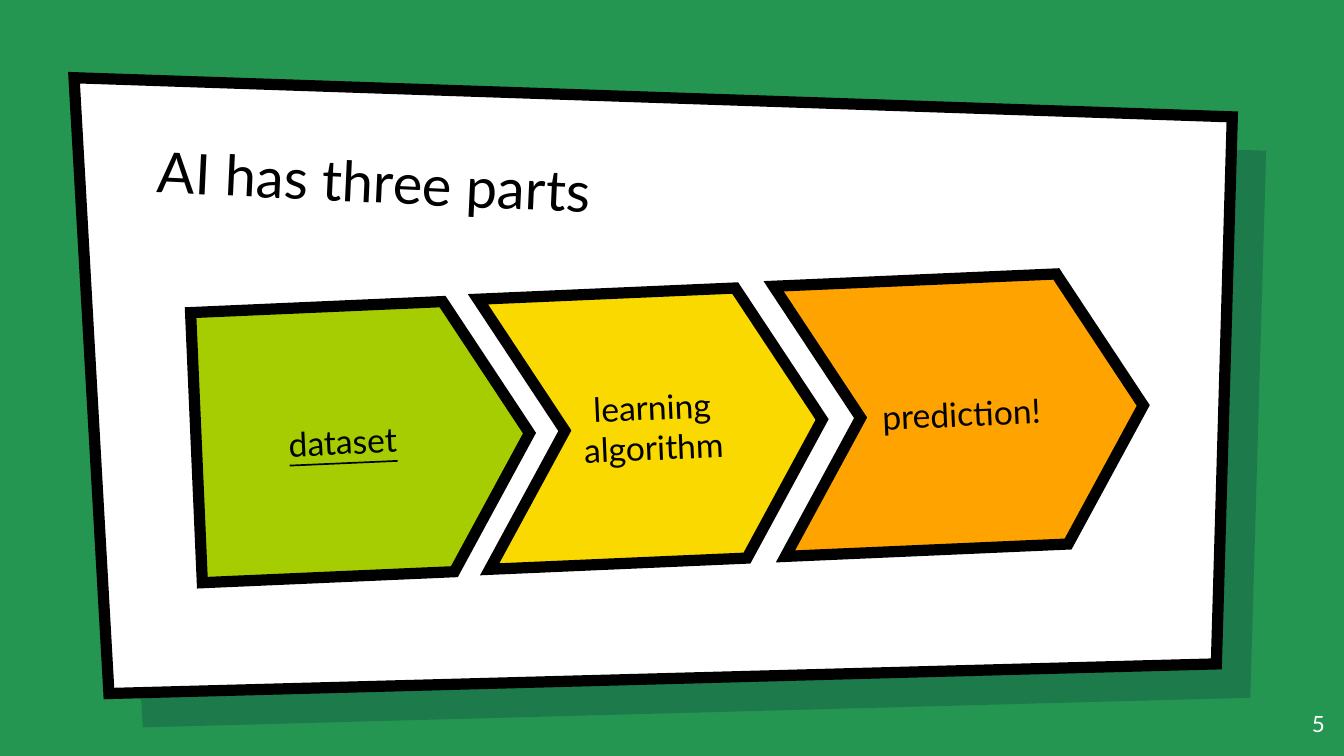
from dataclasses import dataclass

from lxml import etree
from pptx import Presentation
from pptx import util as u
from pptx.dml.color import RGBColor
from pptx.enum import shapes, text
from pptx.oxml import ns
from pptx.shapes.autoshape import Shape
from pptx.slide import Slide
from pptx.text.text import TextFrame


@dataclass(frozen=True)
class Theme:
    font: str = "Lato"
    background: str = "249651"
    shade: str = "001936"
    shade_alpha: int = 22000
    paper: str = "FFFFFF"
    ink: str = "000000"
    green: str = "A6CD02"
    yellow: str = "FAD900"
    orange: str = "FFA300"
    title_size: int = 30
    step_size: int = 18
    number_size: int = 12
    outline: int = 6


@dataclass(frozen=True)
class Step:
    label: str
    left: float
    width: float
    fill: str
    preset: shapes.MSO_SHAPE = shapes.MSO_SHAPE.CHEVRON
    underline: bool = False


THEME = Theme()
PANEL = [(1.4, 1.47), (23.29, 2.21), (22.99, 12.55), (2.06, 13.11)]
SHADE_OFFSET = 0.64
FIRST_TOP, RISE, STEP_HEIGHT = 5.77, 0.255, 5.11
TILT, POINT_DEPTH = 357.5, 0.3
STEPS = [
    Step("dataset", 3.71, 6.3, THEME.green, shapes.MSO_SHAPE.PENTAGON, True),
    Step("learning algorithm", 9.14, 6.4, THEME.yellow),
    Step("prediction!", 14.73, 6.88, THEME.orange),
]


def rgb(value: str) -> RGBColor:
    return RGBColor.from_string(value)


def paint(shape: Shape, fill: str) -> None:
    shape.shadow.inherit = False
    shape.fill.solid()
    shape.fill.fore_color.rgb = rgb(fill)


def outline(shape: Shape) -> None:
    shape.line.color.rgb = rgb(THEME.ink)
    shape.line.width = u.Pt(THEME.outline)
    edge = shape.element.spPr.find(ns.qn("a:ln"))
    etree.SubElement(edge, ns.qn("a:miter"), lim="800000")


def write(frame: TextFrame, words: str, size: int, color: str,
          align: text.PP_ALIGN, anchor: text.MSO_ANCHOR) -> None:
    frame.text = words
    frame.word_wrap = True
    frame.auto_size = text.MSO_AUTO_SIZE.NONE
    frame.vertical_anchor = anchor
    frame.margin_left = frame.margin_right = u.Cm(0.25)
    frame.margin_top = frame.margin_bottom = u.Cm(0.25)
    paragraph = frame.paragraphs[0]
    paragraph.alignment = align
    paragraph.font.name = THEME.font
    paragraph.font.size = u.Pt(size)
    paragraph.font.color.rgb = rgb(color)


def draw_panel(slide: Slide, offset: float, fill: str) -> Shape:
    corners = [(u.Cm(x + offset), u.Cm(y + offset)) for x, y in PANEL]
    builder = slide.shapes.build_freeform(*corners[0])
    builder.add_line_segments(corners[1:], close=True)
    panel = builder.convert_to_shape()
    paint(panel, fill)
    return panel


def draw_panels(slide: Slide) -> None:
    shade = draw_panel(slide, SHADE_OFFSET, THEME.shade)
    shade.line.fill.background()
    tint = shade.element.spPr.find(ns.qn("a:solidFill"))[0]
    etree.SubElement(tint, ns.qn("a:alpha"), val=str(THEME.shade_alpha))
    outline(draw_panel(slide, 0, THEME.paper))


def draw_title(slide: Slide) -> None:
    title = slide.shapes.title
    title.left, title.top = u.Cm(2.72), u.Cm(2.44)
    title.width, title.height = u.Cm(19.53), u.Cm(2.11)
    title.rotation = 2.7
    write(title.text_frame, "AI has three parts", THEME.title_size, THEME.ink,
          text.PP_ALIGN.LEFT, text.MSO_ANCHOR.BOTTOM)
    title.element.getparent().append(title.element)


def draw_step(slide: Slide, step: Step, top: float) -> None:
    arrow = slide.shapes.add_shape(step.preset, u.Cm(step.left), u.Cm(top),
                                   u.Cm(step.width), u.Cm(STEP_HEIGHT))
    arrow.adjustments[0] = POINT_DEPTH
    arrow.rotation = TILT
    paint(arrow, step.fill)
    outline(arrow)
    write(arrow.text_frame, step.label, THEME.step_size, THEME.ink,
          text.PP_ALIGN.CENTER, text.MSO_ANCHOR.MIDDLE)
    if step.underline:
        arrow.text_frame.paragraphs[0].runs[0].font.underline = True


def draw_number(slide: Slide) -> None:
    number = slide.shapes.add_textbox(u.Cm(23.77), u.Cm(13.18), u.Cm(1.52), u.Cm(1.09))
    write(number.text_frame, "5", THEME.number_size, THEME.paper,
          text.PP_ALIGN.RIGHT, text.MSO_ANCHOR.TOP)


def main() -> None:
    deck = Presentation()
    deck.slide_width, deck.slide_height = u.Cm(25.4), u.Cm(14.29)
    slide = deck.slides.add_slide(deck.slide_layouts[5])
    slide.background.fill.solid()
    slide.background.fill.fore_color.rgb = rgb(THEME.background)
    draw_panels(slide)
    draw_title(slide)
    for index, step in enumerate(STEPS):
        draw_step(slide, step, FIRST_TOP - index * RISE)
    draw_number(slide)
    deck.save("out.pptx")


if __name__ == "__main__":
    main()
